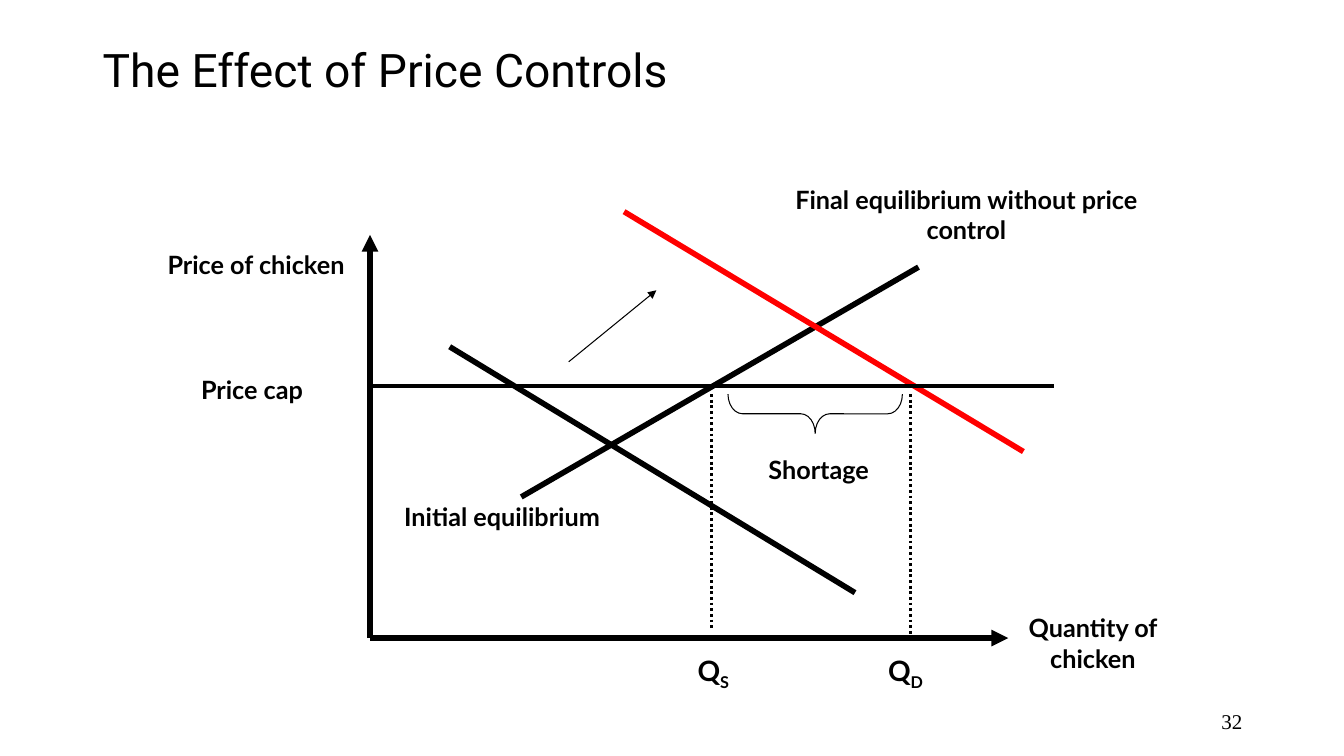
import pptx
import pptx.util
import pptx.dml.color
import pptx.enum.dml
import pptx.enum.shapes
import pptx.enum.text
import pptx.oxml.ns
from dataclasses import dataclass
from lxml import etree
from pptx.util import Inches

ALIGN = pptx.enum.text.PP_ALIGN
ANCHOR = pptx.enum.text.MSO_ANCHOR


@dataclass(frozen=True)
class Theme:
    ink: str = "000000"
    shifted: str = "FF0000"
    title_font: str = "Roboto"
    label_font: str = "Lato"
    number_font: str = "Times New Roman"
    title_size: int = 33
    label_size: int = 18
    tick_size: int = 20
    number_size: int = 15
    curve: float = 4
    cap: float = 2.25
    guide: float = 2
    thin: float = 0.75


class Diagram:
    def __init__(self, slide, theme):
        self.slide = slide
        self.theme = theme

    def text(self, text, box, font, size, bold=False, align=ALIGN.LEFT,
             anchor=ANCHOR.TOP, wrap=True):
        tf = self.slide.shapes.add_textbox(*map(Inches, box)).text_frame
        tf.word_wrap = wrap
        tf.vertical_anchor = anchor
        p = tf.paragraphs[0]
        p.alignment = align
        p.add_run().text = text
        p.font.name = font
        p.font.size = pptx.util.Pt(size)
        p.font.bold = bold
        p.font.color.rgb = pptx.dml.color.RGBColor.from_string(self.theme.ink)
        return p

    def label(self, text, box, wrap=True):
        self.text(text, box, self.theme.label_font, self.theme.label_size,
                  bold=True, align=ALIGN.CENTER, wrap=wrap)

    def quantity(self, subscript, box):
        """Label a point on the quantity axis as Q with a subscript."""
        p = self.text("Q", box, self.theme.label_font, self.theme.tick_size,
                      bold=True, wrap=False)
        r = p.add_run()
        r.text = subscript
        r._r.get_or_add_rPr().set("baseline", "-25000")

    def stroke(self, line, width, color=None):
        line.color.rgb = pptx.dml.color.RGBColor.from_string(color or self.theme.ink)
        line.width = pptx.util.Pt(width)

    def line(self, start, end, width, color=None, arrow=False, dotted=False):
        sp = self.slide.shapes.add_connector(
            pptx.enum.shapes.MSO_CONNECTOR.STRAIGHT, *map(Inches, start + end))
        self.stroke(sp.line, width, color)
        if dotted:
            sp.line.dash_style = pptx.enum.dml.MSO_LINE.ROUND_DOT
        if arrow:
            etree.SubElement(sp.line._get_or_add_ln(),
                             pptx.oxml.ns.qn("a:tailEnd"), type="triangle")
        etree.SubElement(sp._element.spPr, pptx.oxml.ns.qn("a:effectLst"))

    def brace(self, box):
        """Draw a brace pointing down; box is its frame before the quarter turn."""
        sp = self.slide.shapes.add_shape(
            pptx.enum.shapes.MSO_SHAPE.RIGHT_BRACE, *map(Inches, box))
        sp.rotation = 90
        sp.adjustments[0] = 0.37
        sp.adjustments[1] = 0.5
        sp.shadow.inherit = False
        sp.fill.background()
        self.stroke(sp.line, self.theme.thin)


def main():
    prs = pptx.Presentation()
    prs.slide_width, prs.slide_height = Inches(13.33), Inches(7.5)
    theme = Theme()
    d = Diagram(prs.slides.add_slide(prs.slide_layouts[6]), theme)

    title = d.text("The Effect of Price Controls", (0.92, -0.01, 11.5, 1.45),
                   theme.title_font, theme.title_size, anchor=ANCHOR.MIDDLE)
    title.line_spacing = 0.9
    d.text("32", (10.17, 6.95, 2.25, 0.4), theme.number_font, theme.number_size,
           align=ALIGN.RIGHT, anchor=ANCHOR.MIDDLE)

    origin = (3.67, 6.33)
    cap_y = 3.83
    for axis_end in ((origin[0], 2.33), (10, origin[1])):
        d.line(origin, axis_end, theme.curve, arrow=True)

    d.line((8.48, 5.88), (4.46, 3.44), theme.curve)  # initial demand
    d.line((9.11, 2.65), (5.17, 4.93), theme.curve)  # supply
    d.line((10.15, 4.48), (6.19, 2.1), theme.curve, theme.shifted)  # new demand
    d.line((5.64, 3.59), (6.51, 2.88), theme.thin, arrow=True)

    for x, bottom in ((7.06, 6.25), (9.03, origin[1])):
        d.line((x, 3.91), (x, bottom), theme.guide, dotted=True)
    d.brace((7.89, 3.24, 0.39, 1.73))
    d.line((origin[0], cap_y), (10.45, cap_y), theme.cap)

    for text, box in (
        ("Price of chicken ", (1.56, 2.42, 1.96, 0.7)),
        ("Quantity of chicken", (10.01, 6.03, 1.66, 0.7)),
        ("Final equilibrium without price control", (7.77, 1.78, 3.63, 0.7)),
        ("Shortage", (7.45, 4.46, 1.34, 0.4)),
        ("Price cap ", (1.55, 3.66, 1.96, 0.4)),
    ):
        d.label(text, box)
    d.label("Initial equilibrium", (3.75, 4.92, 2.46, 0.4), wrap=False)
    d.quantity("S", (6.82, 6.43, 0.54, 0.44))
    d.quantity("D", (8.71, 6.43, 0.56, 0.44))

    prs.save("out.pptx")


if __name__ == "__main__":
    main()
